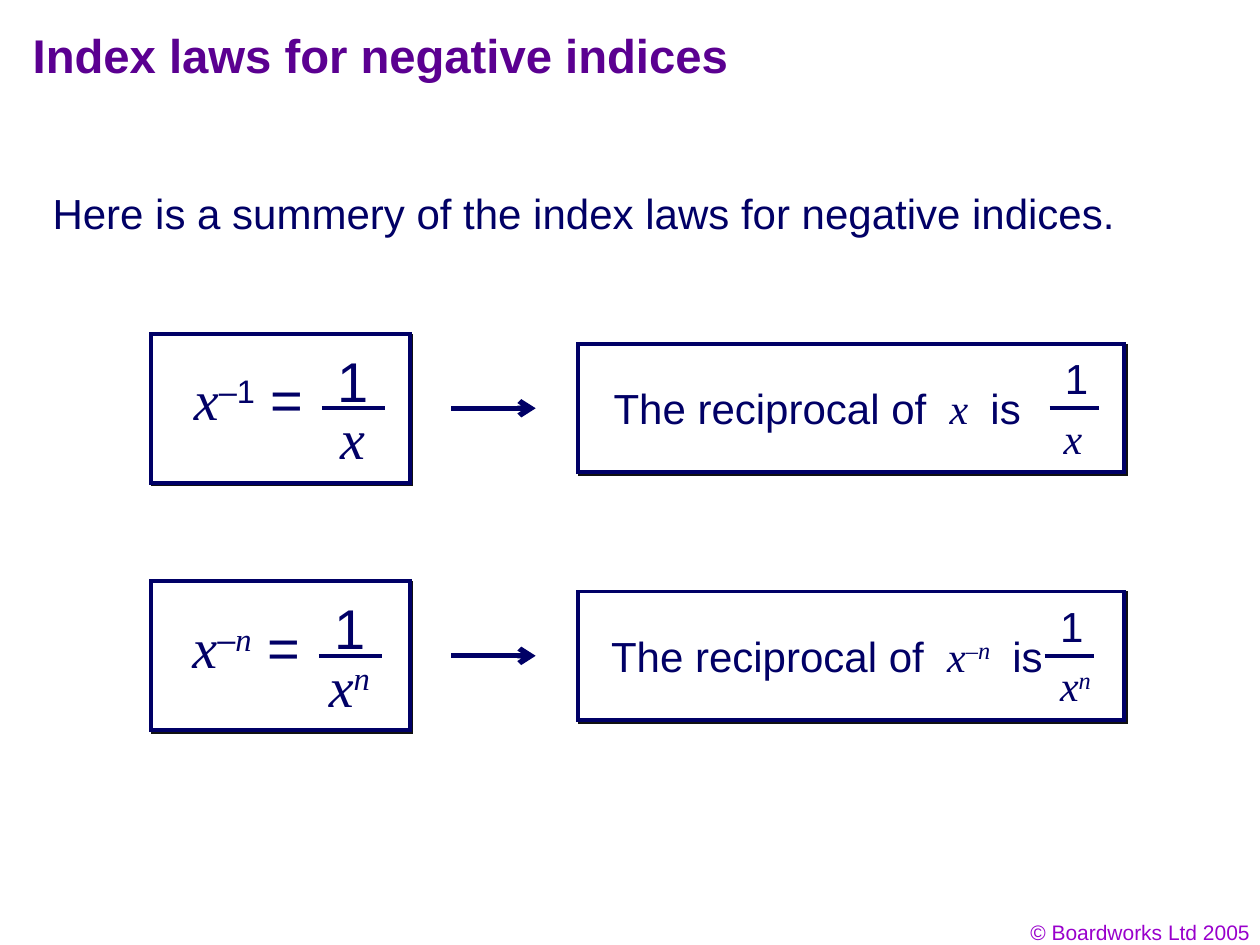
from lxml.etree import SubElement
from pptx import Presentation
from pptx.dml.color import RGBColor
from pptx.enum.shapes import MSO_CONNECTOR, MSO_SHAPE
from pptx.enum.text import MSO_AUTO_SIZE, PP_ALIGN
from pptx.oxml.ns import qn
from pptx.util import Cm, Pt

INK, EDGE, WHITE, SHADOW = "010066", "000066", "FFFFFF", "111111"
PURPLE, VIOLET = "5B0091", "9900CC"
SANS, SERIF = "Arial", "Times New Roman"

PLAIN = {"font": SANS}
ITALIC = {"font": SERIF, "italic": True}
RAISED = {"font": SANS, "raised": True}
RAISED_ITALIC = {"font": SERIF, "italic": True, "raised": True}

X = ("x", ITALIC)
X_TO_N = [X, ("n", RAISED_ITALIC)]
RECIPROCAL = ("The reciprocal of  ", PLAIN)

FIRST_MIDDLE, ROW_PITCH = 8.23, 4.99
EQUATION = {"left": 3.05, "width": 5.21, "height": 3.0, "size": 32,
            "text_width": 3.0, "text_rise": 1.0, "over_rise": 1.37,
            "under_rise": 0.22, "under_width": 1.6,
            "bar_width": 1.27, "line_height": 1.63}
STATEMENT = {"left": 11.66, "width": 11.0, "height": 2.59, "size": 24,
             "text_width": 9.6, "text_rise": 0.64, "over_rise": 1.24,
             "under_rise": 0.04, "under_width": 1.4,
             "bar_width": 1.0, "line_height": 1.27}

LAWS = [
    [
        {"panel": EQUATION, "runs": [X, ("–1", RAISED), (" =", PLAIN)],
         "text_left": 3.66, "bar": 6.49, "under": [X], "under_left": 6.61},
        {"panel": STATEMENT,
         "runs": [RECIPROCAL, ("x ", ITALIC), (" is", PLAIN)],
         "text_left": 12.12, "bar": 21.16, "under": [X], "under_left": 21.19},
    ],
    [
        {"panel": EQUATION,
         "runs": [X, ("–", RAISED), ("n", RAISED_ITALIC), (" =", PLAIN)],
         "text_left": 3.63, "bar": 6.43, "under": X_TO_N, "under_left": 6.38},
        {"panel": STATEMENT,
         "runs": [RECIPROCAL, X, ("–n", RAISED_ITALIC), (" ", ITALIC), (" is", PLAIN)],
         "text_left": 12.07, "bar": 21.06, "under": X_TO_N, "under_left": 21.12},
    ],
]


def color(value):
    return RGBColor.from_string(value)


def add_text(slide, left, top, width, height, runs, size, ink=INK,
             bold=False, align=PP_ALIGN.LEFT, wrap=False):
    box = slide.shapes.add_textbox(Cm(left), Cm(top), Cm(width), Cm(height))
    frame = box.text_frame
    frame.word_wrap = wrap
    frame.auto_size = MSO_AUTO_SIZE.NONE if wrap else MSO_AUTO_SIZE.SHAPE_TO_FIT_TEXT
    para = frame.paragraphs[0]
    para.alignment = align
    for text, style in runs:
        span = para.add_run()
        span.text = text
        span.font.name = style["font"]
        span.font.size = Pt(size)
        span.font.bold = bold
        span.font.italic = style.get("italic", False)
        span.font.color.rgb = color(ink)
        if style.get("raised"):
            span.font._element.set("baseline", "30000")


def add_panel(slide, panel, middle):
    box = slide.shapes.add_shape(
        MSO_SHAPE.RECTANGLE, Cm(panel["left"]), Cm(middle - panel["height"] / 2),
        Cm(panel["width"]), Cm(panel["height"]))
    box.fill.solid()
    box.fill.fore_color.rgb = color(WHITE)
    box.line.color.rgb = color(EDGE)
    box.line.width = Pt(2.25)
    SubElement(box.line._get_or_add_ln(), qn("a:miter"), lim="800000")
    box.shadow.inherit = False
    effects = box._element.spPr.find(qn("a:effectLst"))
    shadow = SubElement(effects, qn("a:outerShdw"), blurRad="0",
                        dist=str(Pt(1.4)), dir="2700000", algn="ctr", rotWithShape="0")
    SubElement(shadow, qn("a:srgbClr"), val=SHADOW)


def add_line(slide, left, width, middle, weight, arrow=False):
    line = slide.shapes.add_connector(
        MSO_CONNECTOR.STRAIGHT, Cm(left), Cm(middle), Cm(left + width), Cm(middle))
    line.line.color.rgb = color(EDGE)
    line.line.width = Pt(weight)
    if arrow:
        SubElement(line.line._get_or_add_ln(), qn("a:tailEnd"), type="arrow")
    SubElement(line._element.spPr, qn("a:effectLst"))


def add_law_part(slide, part, middle):
    panel = part["panel"]
    size, height = panel["size"], panel["line_height"]
    add_panel(slide, panel, middle)
    add_text(slide, part["text_left"], middle - panel["text_rise"],
             panel["text_width"], height, part["runs"], size)
    add_text(slide, part["bar"] + 0.06, middle - panel["over_rise"], 1.2, height,
             [("1", PLAIN)], size)
    add_text(slide, part["under_left"], middle - panel["under_rise"],
             panel["under_width"], height, part["under"], size)
    add_line(slide, part["bar"], panel["bar_width"], middle, 2.25)


def main():
    deck = Presentation()
    deck.slide_width, deck.slide_height = Cm(25.4), Cm(19.05)
    slide = deck.slides.add_slide(deck.slide_layouts[6])

    add_text(slide, 19.53, 18.42, 5.92, 0.76, [("© Boardworks Ltd 2005", PLAIN)],
             12, VIOLET, align=PP_ALIGN.RIGHT, wrap=True)
    add_text(slide, 0.81, 3.66, 23.9, 1.27,
             [("Here is a summery of the index laws for negative indices.", PLAIN)],
             24, wrap=True)
    add_text(slide, 0.41, 0.41, 22.23, 2.13,
             [("Index laws for negative indices", PLAIN)],
             27, PURPLE, bold=True, wrap=True)

    for row, parts in enumerate(LAWS):
        middle = FIRST_MIDDLE + row * ROW_PITCH
        for part in parts:
            add_law_part(slide, part, middle)
        add_line(slide, 9.1, 1.7, middle, 3, arrow=True)

    deck.save("out.pptx")


if __name__ == "__main__":
    main()
